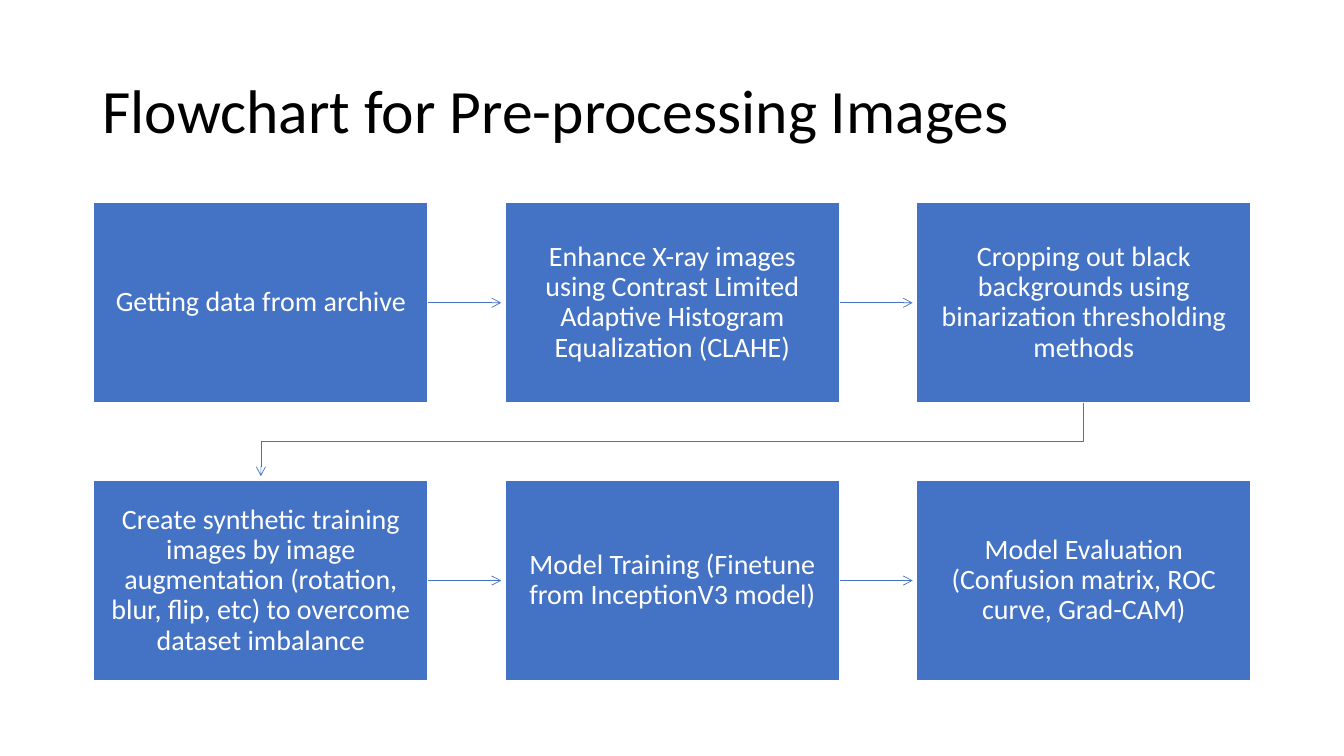
"""Build a slide with a flowchart of image pre-processing steps."""
from collections import namedtuple
from itertools import pairwise

from lxml.etree import SubElement
from pptx import Presentation
from pptx.dml.color import RGBColor
from pptx.enum.shapes import MSO_CONNECTOR as Connector, MSO_SHAPE as Shape
from pptx.enum.text import MSO_ANCHOR as Anchor, PP_ALIGN as Align
from pptx.oxml.ns import qn
from pptx.util import Cm, Pt

Box = namedtuple("Box", "left top width height")

BLUE = RGBColor(0x44, 0x72, 0xC4)
WHITE = RGBColor(0xFF, 0xFF, 0xFF)
BLACK = RGBColor(0x00, 0x00, 0x00)
FONT = "Calibri"
COLUMNS = 3
GAP = Cm(1.94)
ARROW_GAP = Cm(0.1)
TITLE = "Flowchart for Pre-processing Images"
STEPS = [
    "Getting data from archive",
    "Enhance X-ray images using Contrast Limited Adaptive Histogram Equalization (CLAHE)",
    "Cropping out black backgrounds using binarization thresholding methods",
    "Create synthetic training images by image augmentation "
    "(rotation, blur, flip, etc) to overcome dataset imbalance",
    "Model Training (Finetune from InceptionV3 model)",
    "Model Evaluation (Confusion matrix, ROC curve, Grad-CAM)",
]


def set_text(shape, text, size, color, align):
    """Fill a shape with one formatted paragraph, centred vertically."""
    frame = shape.text_frame
    frame.text = text
    frame.word_wrap = True
    frame.vertical_anchor = Anchor.MIDDLE
    para = frame.paragraphs[0]
    para.alignment = align
    para.line_spacing = 0.9
    para.font.name = FONT
    para.font.size = Pt(size)
    para.font.color.rgb = color


def add_title(page, box):
    """Place the title placeholder in the box."""
    title = page.shapes.title
    title.left, title.top, title.width, title.height = box
    set_text(title, TITLE, 44, BLACK, Align.LEFT)


def add_step(page, box, text):
    """Draw one step of the flowchart."""
    step = page.shapes.add_shape(Shape.RECTANGLE, *box)
    step.shadow.inherit = False
    step.fill.solid()
    step.fill.fore_color.rgb = BLUE
    step.line.color.rgb = WHITE
    step.line.width = Pt(1)
    set_text(step, text, 20, WHITE, Align.CENTER)
    frame = step.text_frame
    frame.margin_left = frame.margin_right = Cm(0.4)
    frame.margin_top = frame.margin_bottom = Cm(0.4)


def style_arrow(arrow):
    """Give a line its colour, width and open arrowhead."""
    arrow.line.color.rgb = BLUE
    arrow.line.width = Pt(0.5)
    SubElement(arrow.line._get_or_add_ln(), qn("a:tailEnd"), type="arrow")


def add_row_arrow(page, start, end):
    """Draw a straight arrow between two neighbours in a row."""
    middle = start.top + start.height // 2
    arrow = page.shapes.add_connector(
        Connector.STRAIGHT, start.left + start.width, middle, end.left - ARROW_GAP, middle)
    SubElement(arrow._element.spPr, qn("a:effectLst"))
    style_arrow(arrow)


def add_wrap_arrow(page, start, end):
    """Draw a bent arrow from the end of a row to the start of the next."""
    start_x = start.left + start.width // 2
    end_x = end.left + end.width // 2
    bottom = start.top + start.height
    bend = (bottom + end.top) // 2
    builder = page.shapes.build_freeform(start_x, bottom)
    builder.add_line_segments(
        [(start_x, bend), (end_x, bend), (end_x, end.top - ARROW_GAP)], close=False)
    arrow = builder.convert_to_shape()
    arrow.shadow.inherit = False
    arrow.fill.background()
    style_arrow(arrow)


def add_flowchart(page, box):
    """Lay the steps out in rows within the box and link them in order."""
    rows = len(STEPS) // COLUMNS
    width = (box.width - (COLUMNS - 1) * GAP) // COLUMNS
    height = (box.height - (rows - 1) * GAP) // rows
    cells = []
    for index, text in enumerate(STEPS):
        row, column = divmod(index, COLUMNS)
        cell = Box(box.left + column * (width + GAP), box.top + row * (height + GAP),
                   width, height)
        add_step(page, cell, text)
        cells.append(cell)
    for start, end in pairwise(cells):
        add_arrow = add_row_arrow if start.top == end.top else add_wrap_arrow
        add_arrow(page, start, end)


def main():
    """Build and save the deck."""
    deck = Presentation()
    deck.slide_width, deck.slide_height = Cm(33.87), Cm(19.05)
    page = deck.slides.add_slide(deck.slide_layouts[5])
    add_title(page, Box(Cm(2.33), Cm(1.01), Cm(29.21), Cm(3.68)))
    add_flowchart(page, Box(Cm(2.36), Cm(5.1), Cm(29.17), Cm(12.06)))
    deck.save("out.pptx")


main()
